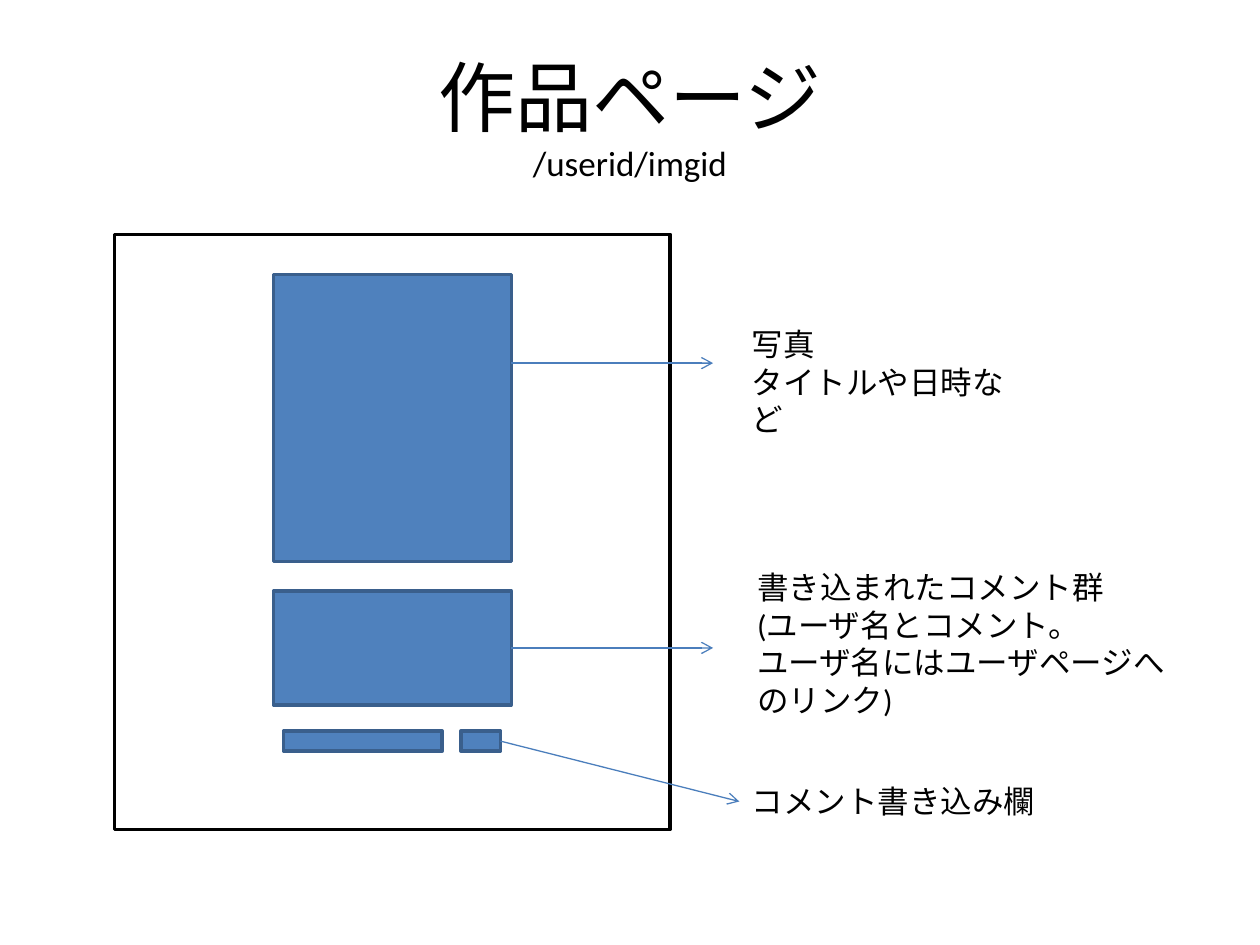
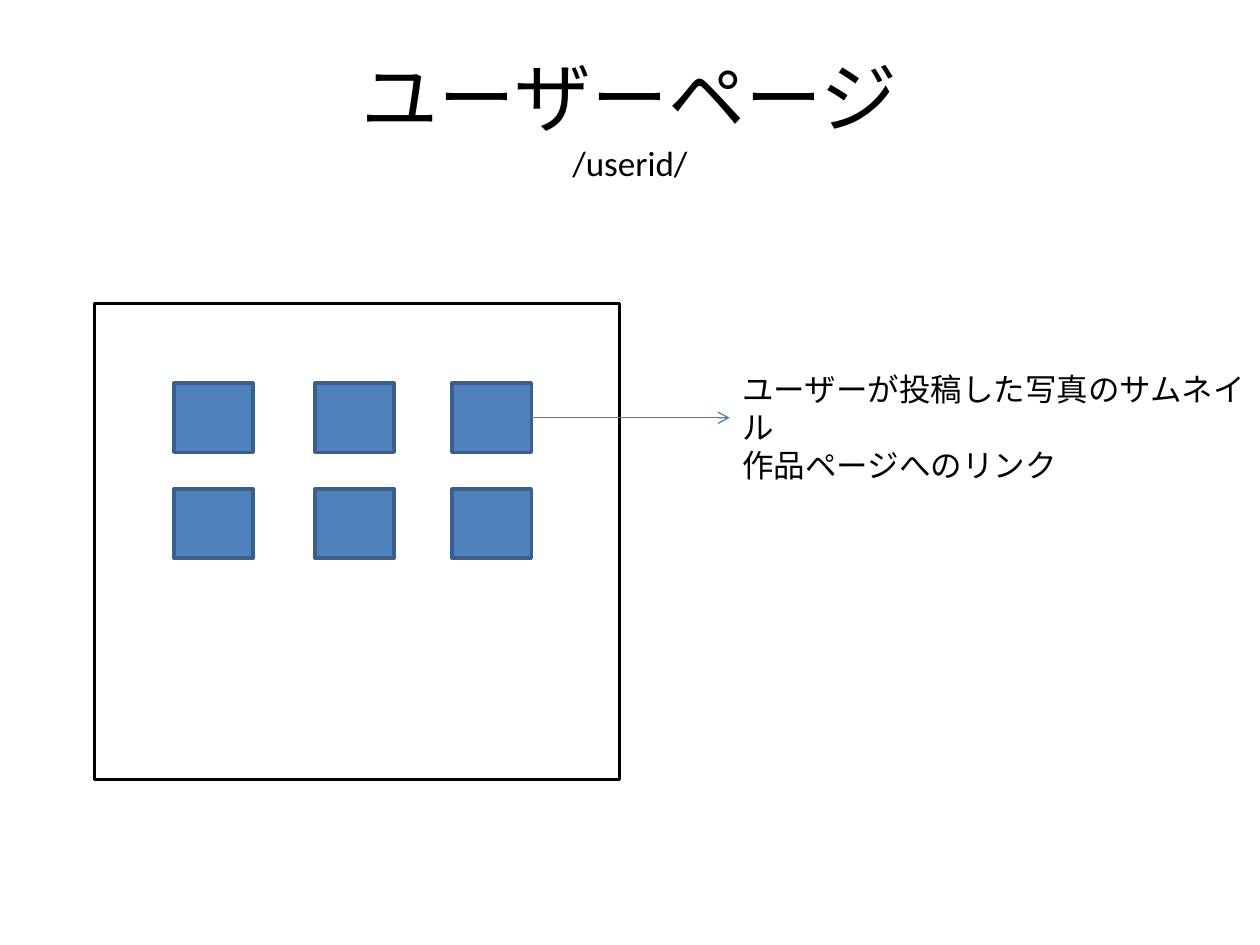
from dataclasses import dataclass

from lxml import etree
from pptx import Presentation
from pptx.dml.color import RGBColor
from pptx.enum.shapes import MSO_CONNECTOR, MSO_SHAPE
from pptx.enum.text import MSO_ANCHOR, MSO_AUTO_SIZE, PP_ALIGN
from pptx.oxml.ns import qn
from pptx.util import Pt

RECTANGLE = MSO_SHAPE.RECTANGLE
STRAIGHT = MSO_CONNECTOR.STRAIGHT
MIDDLE = MSO_ANCHOR.MIDDLE
TOP = MSO_ANCHOR.TOP
CENTER = PP_ALIGN.CENTER
LEFT = PP_ALIGN.LEFT
GROW = MSO_AUTO_SIZE.SHAPE_TO_FIT_TEXT
FIXED = MSO_AUTO_SIZE.NONE


@dataclass(frozen=True)
class Theme:
    """Colours, type sizes and line widths shared by the slides."""

    font: str = "Calibri"
    ink: RGBColor = RGBColor(0, 0, 0)
    paper: RGBColor = RGBColor(255, 255, 255)
    block: RGBColor = RGBColor(0x4F, 0x81, 0xBD)
    block_edge: RGBColor = RGBColor(0x3A, 0x5F, 0x8C)
    arrow: RGBColor = RGBColor(0x4B, 0x7E, 0xBC)
    title_size: float = 44
    url_size: float = 20
    note_size: float = 18
    edge_width: float = 2
    arrow_width: float = 0.75


THEME = Theme()
TITLE_BOX = (36, 21.6, 648, 90)


def style_run(run, size):
    """Give a run the theme font and ink at one size."""
    run.font.name = THEME.font
    run.font.size = Pt(size)
    run.font.color.rgb = THEME.ink


def add_text(slide, box, lines, anchor, align, auto_size):
    """Place wrapped paragraphs in a box and return its text frame."""
    frame = slide.shapes.add_textbox(*map(Pt, box)).text_frame
    frame.word_wrap = True
    frame.auto_size = auto_size
    frame.vertical_anchor = anchor
    frame.text = "\n".join(lines)
    for paragraph in frame.paragraphs:
        paragraph.alignment = align
    return frame


def add_title(slide, box, name, url):
    """Place the page name with its address on the line below."""
    frame = add_text(slide, box, [f"{name}\v{url}"], MIDDLE, CENTER, FIXED)
    sizes = (THEME.title_size, THEME.url_size)
    for run, size in zip(frame.paragraphs[0].runs, sizes):
        style_run(run, size)


def add_note(slide, box, lines):
    """Place an explanation beside the page sketch."""
    frame = add_text(slide, box, lines, TOP, LEFT, GROW)
    for paragraph in frame.paragraphs:
        style_run(paragraph.runs[0], THEME.note_size)


def add_rectangle(slide, box, fill, edge):
    """Draw a flat outlined rectangle."""
    rectangle = slide.shapes.add_shape(RECTANGLE, *map(Pt, box))
    rectangle.shadow.inherit = False
    rectangle.fill.solid()
    rectangle.fill.fore_color.rgb = fill
    rectangle.line.color.rgb = edge
    rectangle.line.width = Pt(THEME.edge_width)


def add_page_frame(slide, box):
    """Draw the outline of the sketched page."""
    add_rectangle(slide, box, THEME.paper, THEME.ink)


def add_block(slide, box):
    """Draw one content block of the sketched page."""
    add_rectangle(slide, box, THEME.block, THEME.block_edge)


def add_arrow(slide, start, end):
    """Draw a thin open-headed arrow."""
    arrow = slide.shapes.add_connector(STRAIGHT, *map(Pt, (*start, *end)))
    arrow.line.color.rgb = THEME.arrow
    arrow.line.width = Pt(THEME.arrow_width)
    etree.SubElement(arrow.line._get_or_add_ln(), qn("a:tailEnd"), type="arrow")
    etree.SubElement(arrow._element.spPr, qn("a:effectLst"))


def draw_work_page(slide, box):
    """Sketch the page of one work: photo, comments and comment form."""
    left, top, width, _ = box
    right = left + width
    add_page_frame(slide, box)

    column, column_width = left + 90.75, 136
    column_right = column + column_width
    photo_arrow_y, comments_top, comments_height = top + 73.5, top + 203.75, 65
    comments_y = comments_top + comments_height / 2
    add_block(slide, (column, top + 23, column_width, 164))
    add_block(slide, (column, comments_top, column_width, comments_height))
    for y in (photo_arrow_y, comments_y):
        add_arrow(slide, (column_right, y), (right + 24.5, y))

    form_top, form_height, button, button_width = top + 283.75, 11.5, left + 198, 22.5
    add_block(slide, (left + 96.5, form_top, 90.75, form_height))
    add_block(slide, (button, form_top, button_width, form_height))
    note_left = right + 39.5
    form_y = form_top + form_height / 2
    add_arrow(slide, (button + button_width, form_y), (note_left, top + 324))

    add_note(slide, (note_left, top + 48, 160.5, 51), ["写真", "タイトルや日時など"])
    add_note(slide, (note_left + 3, top + 187, 250.5, 94.5),
             ["書き込まれたコメント群", "(ユーザ名とコメント。",
              "ユーザ名にはユーザページへのリンク)"])
    add_note(slide, (note_left, top + 309.5, 209.5, 29), ["コメント書き込み欄"])


def draw_user_page(slide, box):
    """Sketch the page of one user: a grid of thumbnails."""
    left, top, width, _ = box
    add_page_frame(slide, box)

    thumb_width, thumb_height, row_pitch = 45.25, 39.5, 60.5
    columns = [left + offset for offset in (45.4, 126, 204.4)]
    first_row = top + 45.5
    for row in range(2):
        for column in columns:
            add_block(slide, (column, first_row + row * row_pitch,
                              thumb_width, thumb_height))

    note_left = left + width + 63
    arrow_y = first_row + thumb_height / 2
    add_arrow(slide, (columns[-1] + thumb_width, arrow_y), (note_left, arrow_y))
    add_note(slide, (note_left, top + 34.5, 311, 51),
             ["ユーザーが投稿した写真のサムネイル", "作品ページへのリンク"])


def main():
    """Build both page sketches and save them."""
    deck = Presentation()
    deck.slide_width, deck.slide_height = Pt(720), Pt(540)
    blank = deck.slide_layouts[6]
    pages = (
        ("作品ページ", "/userid/imgid", draw_work_page, (65.5, 134, 317.5, 340)),
        ("ユーザーページ", "/userid/", draw_user_page, (54, 173.5, 300, 272)),
    )
    for name, url, draw_page, box in pages:
        slide = deck.slides.add_slide(blank)
        add_title(slide, TITLE_BOX, name, url)
        draw_page(slide, box)
    deck.save("out.pptx")


main()
